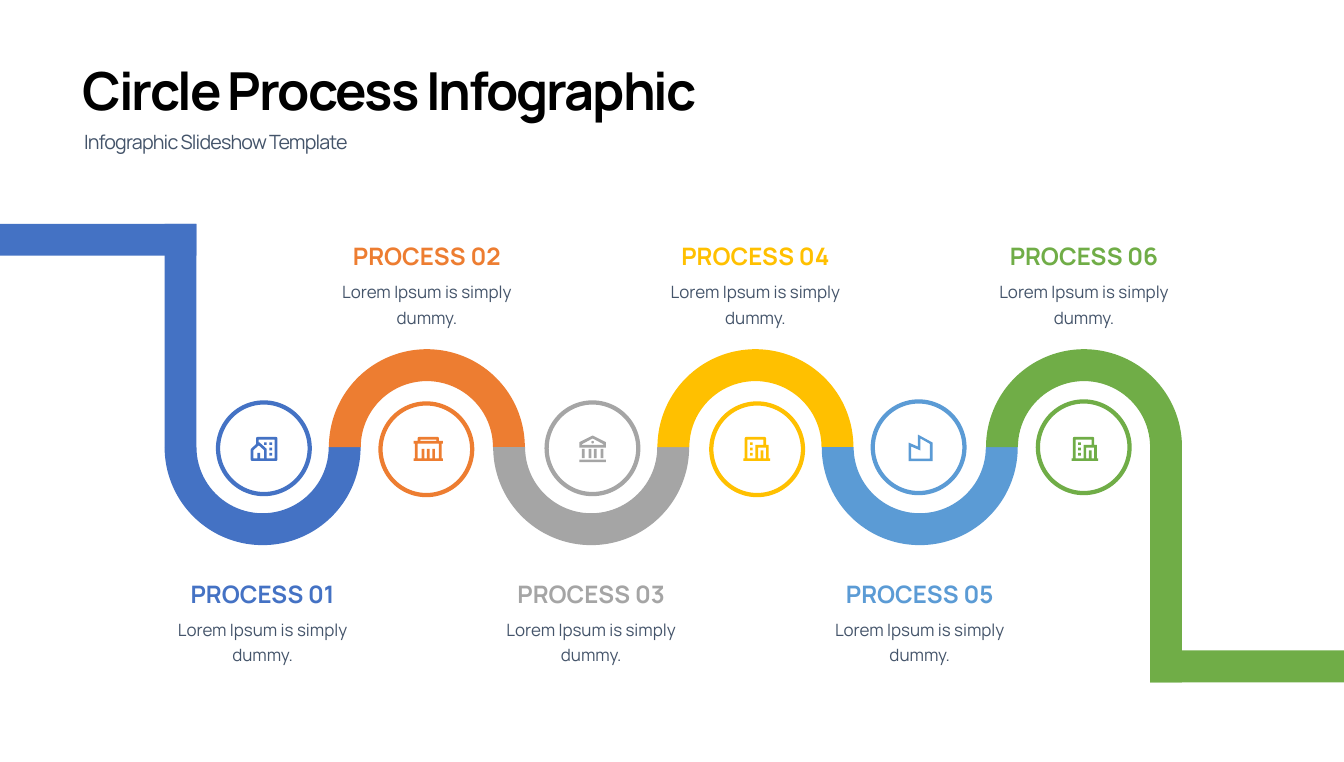
from pptx import Presentation
from pptx.dml.color import RGBColor
from pptx.enum.shapes import MSO_SHAPE
from pptx.enum.text import MSO_ANCHOR, PP_ALIGN
from pptx.util import Cm, Pt

RECTANGLE, OVAL, BLOCK_ARC = MSO_SHAPE.RECTANGLE, MSO_SHAPE.OVAL, MSO_SHAPE.BLOCK_ARC
TOP, BOTTOM = MSO_ANCHOR.TOP, MSO_ANCHOR.BOTTOM
LEFT, CENTER = PP_ALIGN.LEFT, PP_ALIGN.CENTER

FONT = "Manrope"
BLACK, SLATE = "000000", "44546A"
BLUE, GREEN = "4472C4", "70AD47"
TITLE = "Circle Process Infographic"
SUBTITLE = "Infographic Slideshow Template"
BODY = "Lorem Ipsum is simply dummy."


def window(x, y, width=2, height=2):
    return [(x, y), (x + width, y), (x + width, y + height), (x, y + height)]


HOUSE = [
    [(1, 18), (0.3, 17.7), (0, 17), (0, 9.5), (0.3, 8.8), (4, 5.4), (4, 1), (4.3, 0.3), (5, 0),
     (19, 0), (19.7, 0.3), (20, 1), (20, 17), (19.7, 17.7), (19, 18)],
    [(7, 16), (10, 16), (10, 9.9), (6, 6.3), (2, 9.9), (2, 16), (5, 16), (5, 12), (7, 12)],
    [(12, 16), (18, 16), (18, 2), (6, 2), (6, 4), (6.7, 4.2), (11.7, 8.7), (12, 9.5)],
    window(14, 8), window(14, 12), window(14, 4), window(10, 4),
]
SHOP = [
    [(19, 3), (22, 3), (22, 5), (21, 5), (21, 16), (22, 16), (22, 18), (0, 18), (0, 16), (1, 16),
     (1, 5), (0, 5), (0, 3), (3, 3), (3, 1), (3.3, 0.3), (4, 0), (18, 0), (18.7, 0.3), (19, 1)],
    [(19, 5), (3, 5), (3, 16), (6, 16), (6, 9), (8, 9), (8, 16), (10, 16), (10, 9), (12, 9),
     (12, 16), (14, 16), (14, 9), (16, 9), (16, 16), (19, 16)],
    window(5, 2, 12, 1),
]
BANK = [
    window(0, 18, 20, 2),
    *[window(x, 10, 2, 7) for x in (2, 7, 11, 16)],
    [(0, 5), (10, 0), (20, 5), (20, 9), (0, 9)],
    [(2, 6.5), (2, 7), (18, 7), (18, 6.5), (10, 2.2)],
    [(10, 4), (10.7, 4.3), (11, 5), (10.7, 5.7), (10, 6), (9.3, 5.7), (9, 5), (9.3, 4.3)],
]
OFFICE = [
    [(20, 18), (0, 18), (0, 16), (1, 16), (1, 1), (1.3, 0.3), (2, 0), (16, 0), (16.7, 0.3),
     (17, 1), (17, 6), (19, 6), (19, 16), (20, 16)],
    [(15, 16), (17, 16), (17, 8), (11, 8), (11, 16), (13, 16), (13, 10), (15, 10)],
    [(15, 6), (15, 2), (3, 2), (3, 16), (9, 16), (9, 6)],
    *[window(5, y) for y in (4, 8, 12)],
]
FACTORY = [
    [(7, 9), (7, 0), (18, 6), (18, 20), (0, 20), (0, 6)],
    [(9, 3), (9, 12), (2, 9), (2, 18), (16, 18), (16, 7)],
]

# heading, colour, circle corner, icon, icon corner
PROCESSES = [
    ("PROCESS 01", BLUE, (10.87, 20.07), HOUSE, (12.5, 21.79)),
    ("PROCESS 02", "ED7D31", (18.97, 20.12), SHOP, (20.62, 21.79)),
    ("PROCESS 03", "A5A5A5", (27.25, 20.07), BANK, (28.88, 21.72)),
    ("PROCESS 04", "FFC000", (35.46, 20.12), OFFICE, (37.06, 21.79)),
    ("PROCESS 05", "5B9BD5", (43.51, 20.02), FACTORY, (45.29, 21.67)),
    ("PROCESS 06", GREEN, (51.74, 20.02), OFFICE, (53.42, 21.79)),
]

SLIDE_WIDTH, SLIDE_HEIGHT = 67, 38
FIRST_CENTER, PITCH, MIDDLE = 13.09, 8.19, 22.3
ARC_SIZE, BAND = 9.77, 1.59
CIRCLE_SIZE, ICON_UNIT = 4.57, 0.0665
LABEL_WIDTH, HEADING_HEIGHT, BODY_HEIGHT = 10.24, 1.85, 2.9
PIPE_TOP, PIPE_BOTTOM = 11.16, 34.03


def color(value):
    return RGBColor.from_string(value)


def add_shape(slide, kind, left, top, width, height, fill=None, line=None):
    shape = slide.shapes.add_shape(kind, Cm(left), Cm(top), Cm(width), Cm(height))
    paint(shape, fill, line)
    return shape


def paint(shape, fill, line=None):
    shape.shadow.inherit = False
    if fill:
        shape.fill.solid()
        shape.fill.fore_color.rgb = color(fill)
    else:
        shape.fill.background()
    if line:
        shape.line.color.rgb = color(line)
        shape.line.width = Pt(6)
    else:
        shape.line.fill.background()


def add_icon(slide, contours, left, top, fill):
    outlines = [[(Cm(left + x * ICON_UNIT), Cm(top + y * ICON_UNIT)) for x, y in contour]
                for contour in contours]
    builder = slide.shapes.build_freeform(*outlines[0][0])
    for number, outline in enumerate(outlines):
        if number:
            builder.move_to(*outline[0])
        builder.add_line_segments(outline[1:], close=True)
    paint(builder.convert_to_shape(), fill)


def add_text(slide, text, box, size, ink, bold=False, align=CENTER, anchor=TOP,
             line_height=None, spacing=None, inset=(0.41, 0.2)):
    frame = slide.shapes.add_textbox(*[Cm(length) for length in box]).text_frame
    frame.word_wrap = True
    frame.vertical_anchor = anchor
    frame.margin_left = frame.margin_right = Cm(inset[0])
    frame.margin_top = frame.margin_bottom = Cm(inset[1])
    paragraph = frame.paragraphs[0]
    run = paragraph.add_run()
    run.text = text
    paragraph.alignment = align
    if line_height:
        paragraph.line_spacing = Pt(line_height)
    font = paragraph.font
    font.name, font.size, font.bold = FONT, Pt(size), bold
    font.color.rgb = color(ink)
    if spacing:
        run._r.get_or_add_rPr().set("spc", str(spacing))


def main():
    presentation = Presentation()
    presentation.slide_width, presentation.slide_height = Cm(SLIDE_WIDTH), Cm(SLIDE_HEIGHT)
    slide = presentation.slides.add_slide(presentation.slide_layouts[6])

    add_text(slide, TITLE, (3.86, 2.59, 51.41, 3.51), 74, BLACK, bold=True, align=LEFT,
             line_height=94, spacing=-290, inset=(0.25, 0.13))
    add_text(slide, SUBTITLE, (3.94, 6.02, 48.87, 1.65), 27.8, SLATE, align=LEFT,
             line_height=42, spacing=-120, inset=(0.25, 0.13))

    for index, (heading, tint, circle, icon, corner) in enumerate(PROCESSES):
        center = FIRST_CENTER + index * PITCH
        above = index % 2 == 1
        arc = add_shape(slide, BLOCK_ARC, center - ARC_SIZE / 2, MIDDLE - ARC_SIZE / 2,
                        ARC_SIZE, ARC_SIZE, fill=tint)
        arc.adjustments[2] = BAND / ARC_SIZE
        arc.rotation = 0 if above else 180
        add_shape(slide, OVAL, *circle, CIRCLE_SIZE, CIRCLE_SIZE, line=tint)
        add_icon(slide, icon, *corner, tint)

        label_left = center - LABEL_WIDTH / 2
        heading_top, body_top = (11.81, 13.61) if above else (28.68, 30.43)
        add_text(slide, heading, (label_left, heading_top, LABEL_WIDTH, HEADING_HEIGHT),
                 34, tint, bold=True, anchor=BOTTOM)
        add_text(slide, BODY, (label_left, body_top, LABEL_WIDTH, BODY_HEIGHT),
                 24, SLATE, line_height=36)

    pipe_start = FIRST_CENTER - ARC_SIZE / 2
    pipe_end = FIRST_CENTER + (len(PROCESSES) - 1) * PITCH + ARC_SIZE / 2 - BAND
    add_shape(slide, RECTANGLE, pipe_start, PIPE_TOP, BAND, MIDDLE - PIPE_TOP, fill=BLUE)
    add_shape(slide, RECTANGLE, 0, PIPE_TOP, pipe_start + BAND, BAND, fill=BLUE)
    add_shape(slide, RECTANGLE, pipe_end, MIDDLE, BAND, PIPE_BOTTOM - MIDDLE, fill=GREEN)
    add_shape(slide, RECTANGLE, pipe_end, PIPE_BOTTOM - BAND, SLIDE_WIDTH - pipe_end, BAND,
              fill=GREEN)

    presentation.save("out.pptx")


if __name__ == "__main__":
    main()
